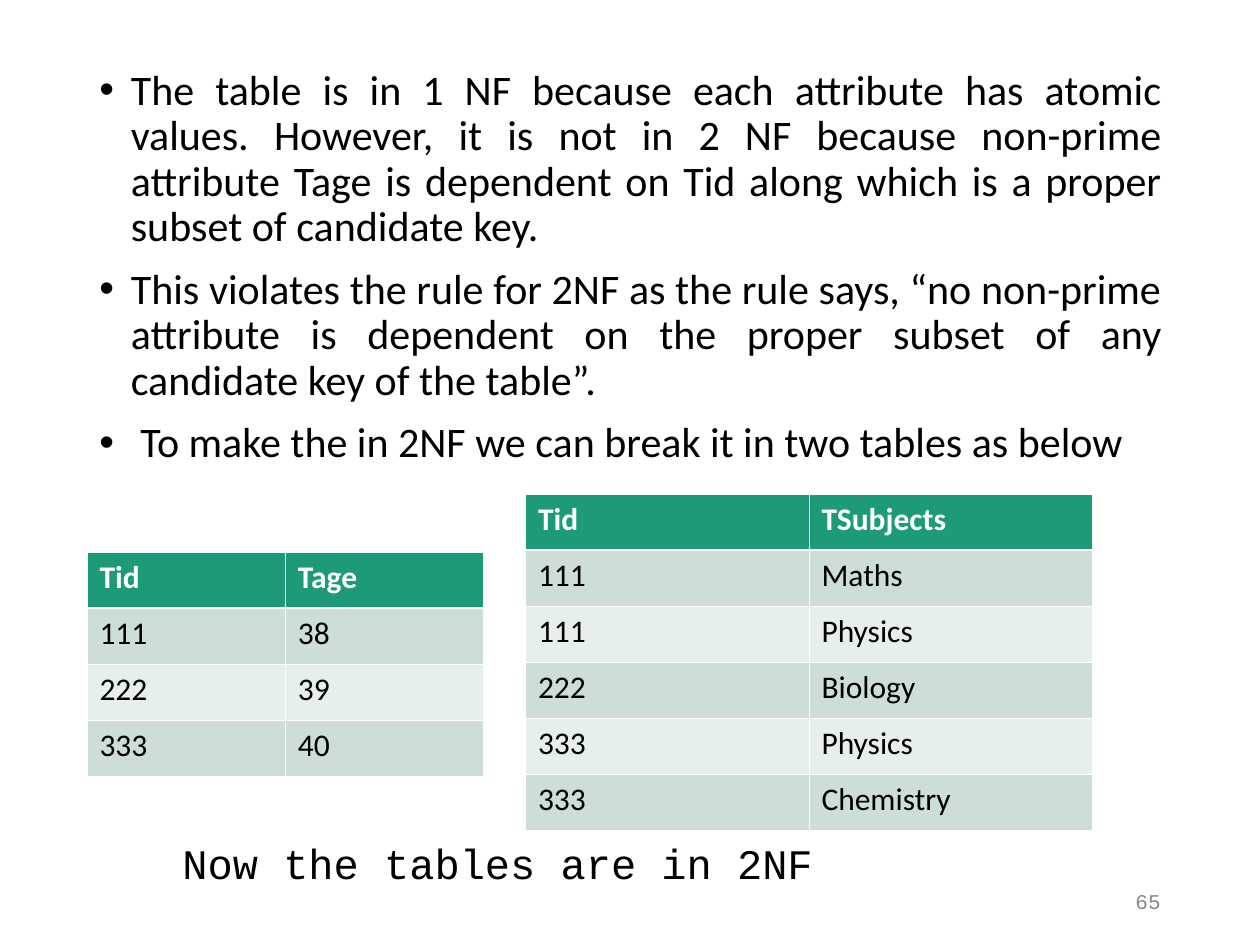
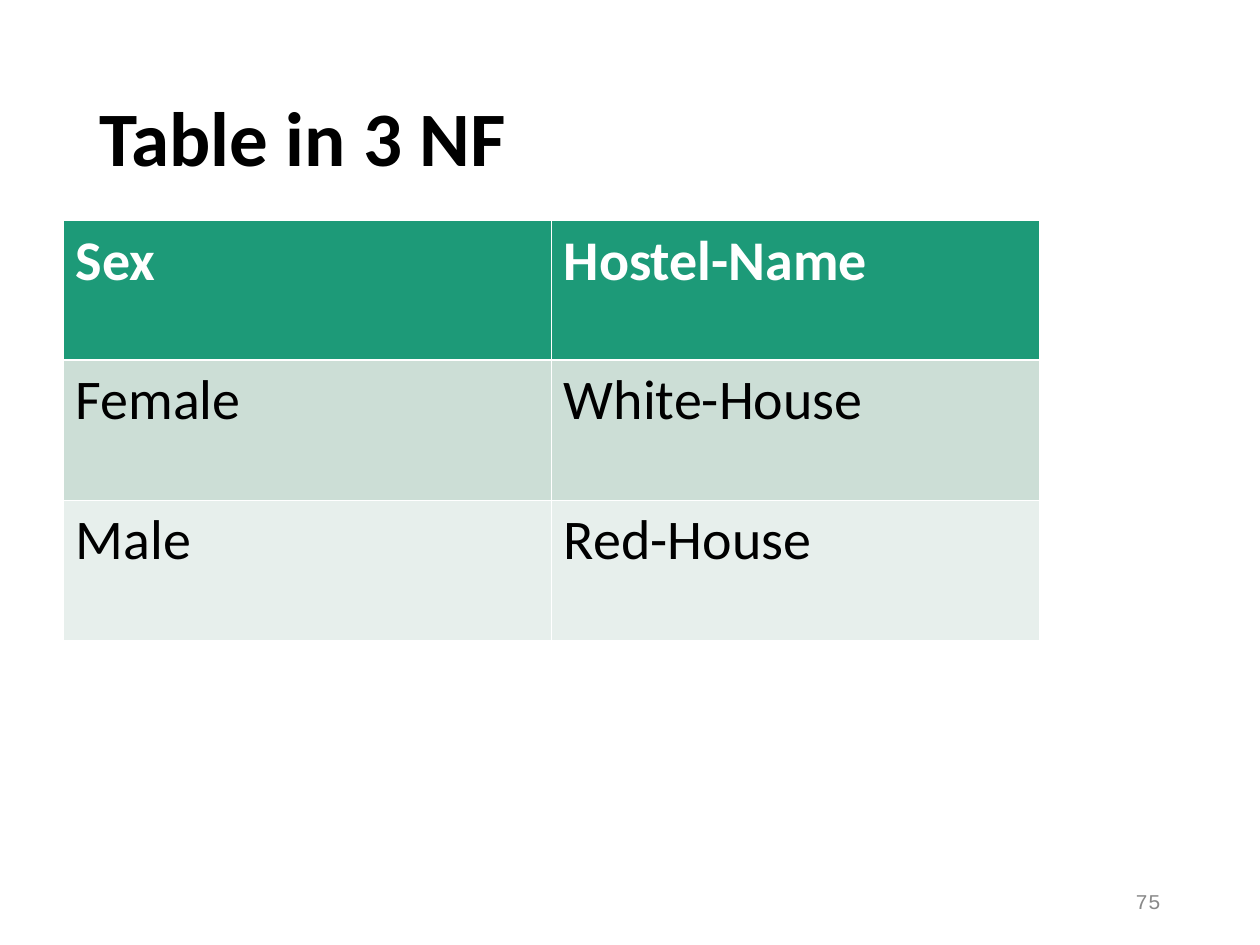
from lxml import etree
from pptx import Presentation, util as u
from pptx.dml.color import RGBColor
from pptx.enum import text
from pptx.oxml import ns

WHITE, BLACK, GREY = "FFFFFF", "000000", "898989"
HEADER, BAND_DARK, BAND_LIGHT = "1D9A78", "CCDED6", "E7EFEC"
BODY_FONT, MONO_FONT = "Calibri", "Courier New"
THIN, THICK = 0.45, 1.47


def style(para, size, color, name=BODY_FONT, bold=False):
    for span in para.runs:
        span.font.size = u.Pt(size)
        span.font.name = name
        span.font.bold = bold
        span.font.color.rgb = RGBColor.from_string(color)


def add_box(page, left, top, width, height, lines, wrap=True):
    box = page.shapes.add_textbox(u.Inches(left), u.Inches(top),
                                  u.Inches(width), u.Inches(height))
    box.text_frame.word_wrap = wrap
    box.text_frame.text = "\n".join(lines)
    return box.text_frame


deck = Presentation()
deck.slide_width, deck.slide_height = u.Inches(10), u.Inches(7.5)
blank = deck.slide_layouts[6]
second_form, third_form = [deck.slides.add_slide(blank) for _ in range(2)]

# Slide numbers
for page, number in ((second_form, "65"), (third_form, "75")):
    frame = add_box(page, 7.06, 6.95, 2.25, 0.4, [number])
    frame.vertical_anchor = text.MSO_ANCHOR.MIDDLE
    frame.paragraphs[0].alignment = text.PP_ALIGN.RIGHT
    style(frame.paragraphs[0], 12, GREY, MONO_FONT)

# Explanation of the second normal form
explanation = [
    "The table is in 1 NF because each attribute has atomic values. However, "
    "it is not in 2 NF because non-prime attribute Tage is dependent on Tid "
    "along which is a proper subset of candidate key.",
    "This violates the rule for 2NF as the rule says, “no non-prime attribute "
    "is dependent on the proper subset of any candidate key of the table”.",
    " To make the in 2NF we can break it in two tables as below",
]
frame = add_box(second_form, 0.69, 0.5, 8.63, 6.26, explanation)
for index, para in enumerate(frame.paragraphs):
    para.alignment = text.PP_ALIGN.JUSTIFY
    para.line_spacing = 0.9
    para.space_before = u.Pt(10 if index else 0)
    properties = para._p.get_or_add_pPr()
    properties.set("marL", str(u.Inches(0.25)))
    properties.set("indent", str(u.Inches(-0.25)))
    etree.SubElement(properties, ns.qn("a:buFont"), typeface="Arial")
    etree.SubElement(properties, ns.qn("a:buChar"), char="•")
    style(para, 24, BLACK)

# Conclusion
frame = add_box(second_form, 1.35, 6.6, 5.2, 0.5,
                ["Now the tables are in 2NF"], wrap=False)
frame.auto_size = text.MSO_AUTO_SIZE.SHAPE_TO_FIT_TEXT
style(frame.paragraphs[0], 24, BLACK, MONO_FONT)

# Title of the third normal form
frame = add_box(third_form, 0.69, 0.4, 8.63, 1.45, ["Table in 3 NF"])
frame.vertical_anchor = text.MSO_ANCHOR.MIDDLE
frame.paragraphs[0].line_spacing = 0.9
style(frame.paragraphs[0], 44, BLACK, bold=True)

# Tables: page, left, top, width, height, text size, rows
teacher_ages = [("Tid", "Tage"), ("111", "38"), ("222", "39"), ("333", "40")]
teacher_subjects = [("Tid", "TSubjects"), ("111", "Maths"), ("111", "Physics"),
                    ("222", "Biology"), ("333", "Physics"), ("333", "Chemistry")]
hostels = [("Sex", "Hostel-Name"), ("Female", "White-House"), ("Male", "Red-House")]
tables = [
    (second_form, 0.69, 4.38, 3.15, 1.78, 18, teacher_ages),
    (second_form, 4.17, 3.92, 4.5, 2.67, 18, teacher_subjects),
    (third_form, 0.5, 1.75, 7.75, 3.33, 32, hostels),
]
for page, left, top, width, height, size, rows in tables:
    grid = page.shapes.add_table(len(rows), 2, u.Inches(left), u.Inches(top),
                                 u.Inches(width), u.Inches(height)).table
    for row, values in enumerate(rows):
        is_header = row == 0
        fill = HEADER if is_header else (BAND_LIGHT, BAND_DARK)[row % 2]
        borders = {"lnL": THIN, "lnR": THIN,
                   "lnT": THICK if row == 1 else THIN,
                   "lnB": THICK if is_header else THIN}
        for column, value in enumerate(values):
            cell = grid.cell(row, column)
            cell.text_frame.text = value
            style(cell.text_frame.paragraphs[0], size,
                  WHITE if is_header else BLACK, bold=is_header)
            properties = cell._tc.get_or_add_tcPr()
            for side, points in borders.items():
                line = etree.SubElement(properties, ns.qn("a:" + side),
                                        w=str(u.Pt(points)))
                solid = etree.SubElement(line, ns.qn("a:solidFill"))
                etree.SubElement(solid, ns.qn("a:srgbClr"), val=WHITE)
            cell.fill.solid()
            cell.fill.fore_color.rgb = RGBColor.from_string(fill)

deck.save("out.pptx")
